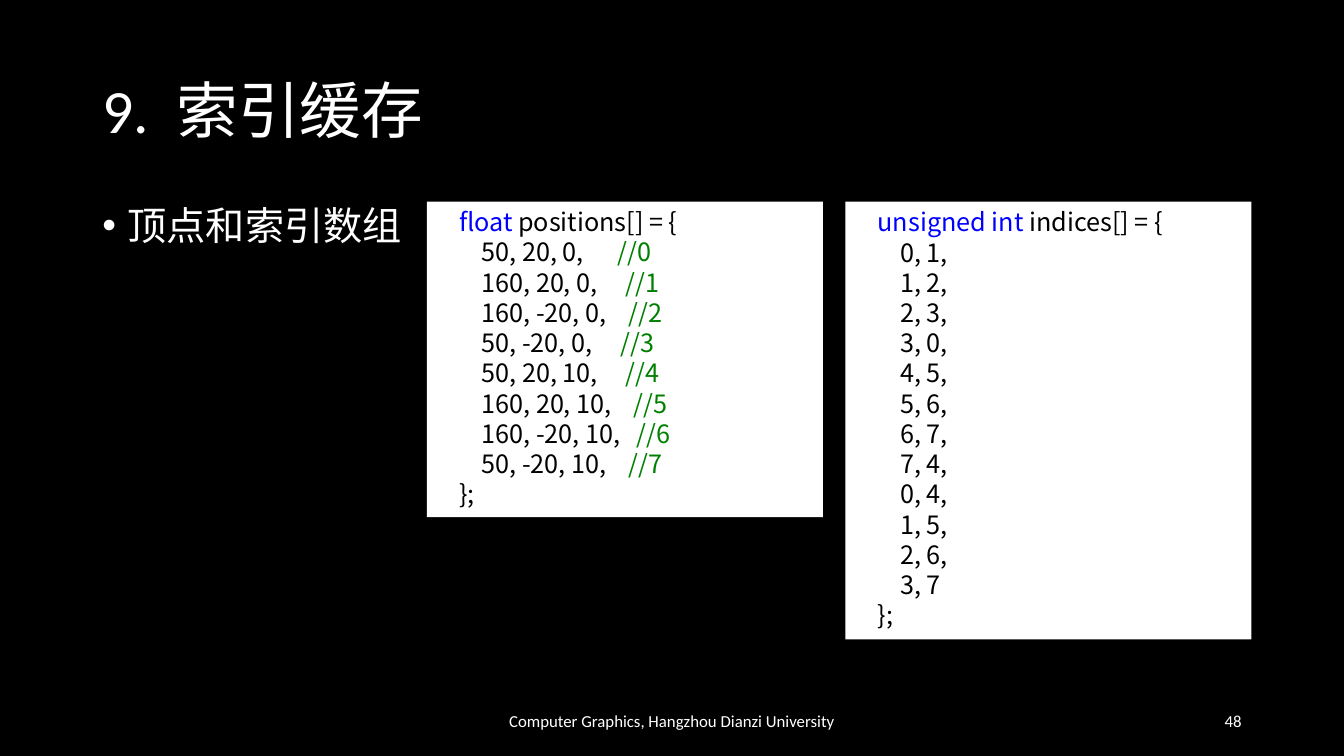
"""Build the slide on index buffers with its vertex and index arrays."""
import pptx
import pptx.util
import pptx.dml.color
import pptx.enum.shapes
import pptx.enum.text
import pptx.oxml

Pt = pptx.util.Pt
Align = pptx.enum.text.PP_ALIGN
Anchor = pptx.enum.text.MSO_ANCHOR


def paint(color, value):
    color.rgb = pptx.dml.color.RGBColor.from_string(value)


def write(para, text, size=18, font="Calibri", color="FFFFFF", align=Align.LEFT,
          line=1.0, before=0, stops=()):
    para.alignment, para.line_spacing, para.space_before = align, line, Pt(before)
    run = para.add_run()
    run.text = text
    run.font.size, run.font.name, run.font.bold = Pt(size), font, False
    paint(run.font.color, color)
    if stops:
        tabs = "".join(f'<a:tab pos="{Pt(stop)}" algn="l"/>' for stop in stops)
        name = "http://schemas.openxmlformats.org/drawingml/2006/main"
        para._p.get_or_add_pPr().append(
            pptx.oxml.parse_xml(f'<a:tabLst xmlns:a="{name}">{tabs}</a:tabLst>'))


deck = pptx.Presentation()
deck.slide_width, deck.slide_height = Pt(960), Pt(540)
slide = deck.slides.add_slide(deck.slide_layouts[1])
slide.background.fill.solid()
paint(slide.background.fill.fore_color, "000000")

title, body = slide.placeholders
for holder, top, height, anchor in [(title, 28.8, 104.4, Anchor.MIDDLE),
                                    (body, 144, 342.7, Anchor.TOP)]:
    holder.left, holder.top = Pt(66), Pt(top)
    holder.width, holder.height = Pt(828), Pt(height)
    holder.text_frame.auto_size = pptx.enum.text.MSO_AUTO_SIZE.NONE
    holder.text_frame.vertical_anchor = anchor
write(title.text_frame.paragraphs[0], "9.\t索引缓存", size=44, line=0.9, stops=[53])
item = body.text_frame.paragraphs[0]
write(item, "顶点和索引数组", size=28, line=0.9, before=10)
item._p.pPr.set("marL", str(Pt(18)))
item._p.pPr.set("indent", str(Pt(-18)))

for text, left, width, align in [
        ("Computer Graphics, Hangzhou Dianzi University", 318, 324, Align.CENTER),
        ("48", 678, 216, Align.RIGHT)]:
    foot = slide.shapes.add_textbox(Pt(left), Pt(500.5), Pt(width), Pt(28.8))
    foot.text_frame.word_wrap = True
    foot.text_frame.vertical_anchor = Anchor.MIDDLE
    write(foot.text_frame.paragraphs[0], text, size=12, align=align)

points = [("50, 20, 0,", 129.3), ("160, 20, 0,", 135), ("160, -20, 0,", 137.3),
          ("50, -20, 0,", 131.5), ("50, 20, 10,", 135), ("160, 20, 10,", 140.8),
          ("160, -20, 10,", 143), ("50, -20, 10,", 137.3)]
pairs = ["0, 1,", "1, 2,", "2, 3,", "3, 0,", "4, 5,", "5, 6,",
         "6, 7,", "7, 4,", "0, 4,", "1, 5,", "2, 6,", "3, 7"]
black, blue, green = "000000", "0000FF", "008000"


def frame(kind, name, rows):
    head = ([("\t" + kind, blue), (f" {name}[] = {{", black)], [16])
    return [head, *rows, ([("\t};", black)], [16])]


vertex = frame("float", "positions", [
    ([("\t" + text + "\t", black), (f"//{num}", green)], [32, stop])
    for num, (text, stop) in enumerate(points)])
index = frame("unsigned int", "indices",
              [([("\t" + text, black)], [32]) for text in pairs])

for rows, left, width, height in [(vertex, 304.9, 283, 225.4), (index, 603.9, 290.1, 312.8)]:
    box = slide.shapes.add_shape(pptx.enum.shapes.MSO_SHAPE.RECTANGLE,
                                 Pt(left), Pt(144), Pt(width), Pt(height))
    box.shadow.inherit = False
    box.fill.solid()
    paint(box.fill.fore_color, "FFFFFF")
    box.line.fill.background()
    text = box.text_frame
    text.word_wrap = True
    text.vertical_anchor = Anchor.TOP
    for num, (parts, stops) in enumerate(rows):
        para = text.add_paragraph() if num else text.paragraphs[0]
        for spot, (part, color) in enumerate(parts):
            write(para, part, font="Noto Sans CJK SC", color=color,
                  line=Pt(21.6), stops=() if spot else stops)

deck.save("out.pptx")
